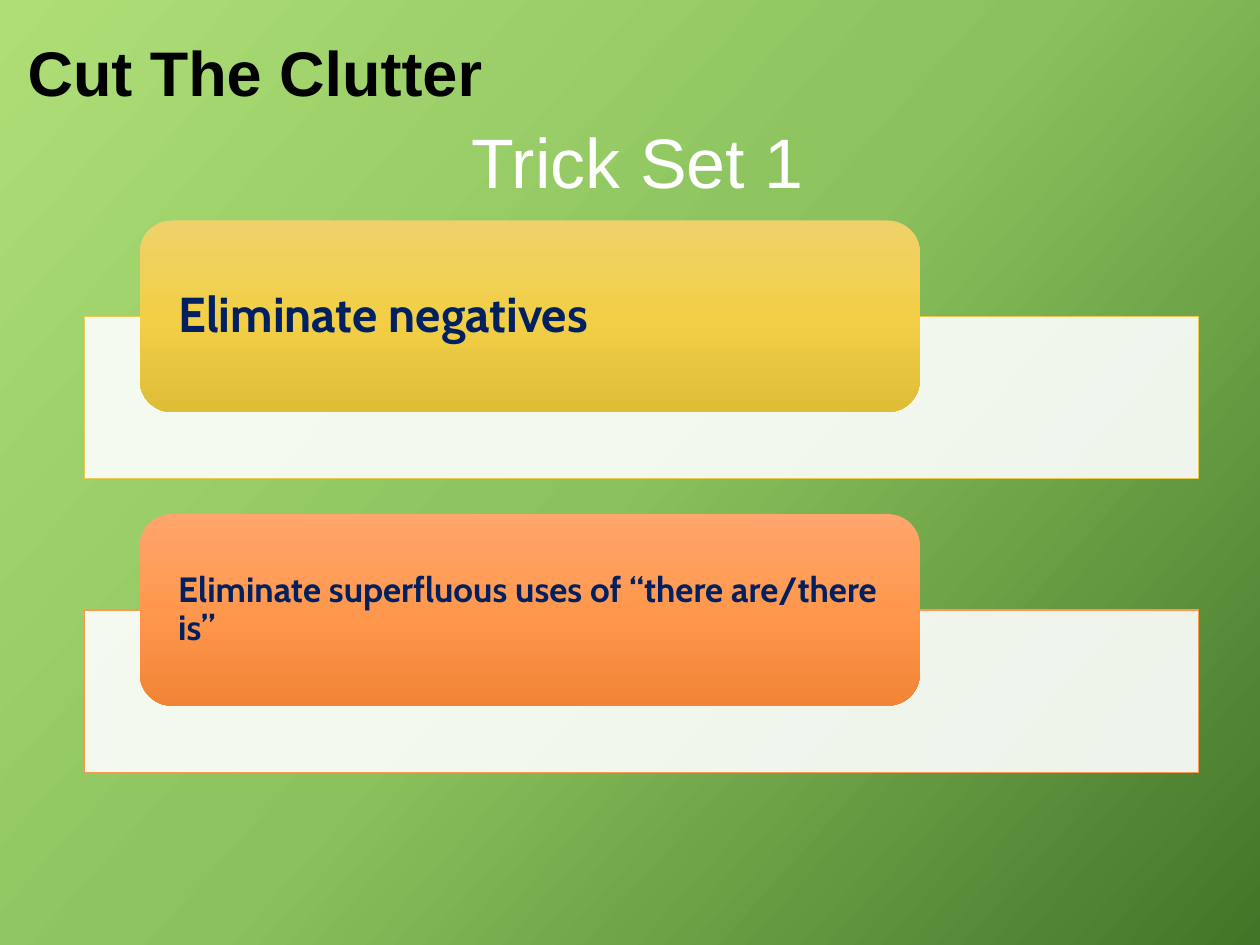
from copy import deepcopy

from lxml.etree import SubElement
from pptx import Presentation
from pptx.dml.color import RGBColor
from pptx.enum.shapes import MSO_SHAPE as Shape
from pptx.enum.text import MSO_ANCHOR as Anchor, PP_ALIGN as Align
from pptx.oxml.ns import qn
from pptx.util import Inches, Pt

NAVY = "002060"
CARDS = [
    ("Eliminate negatives", 28, "EACA4F", ("EED16B", "F2CF47", "E0BD37")),
    ("Eliminate superfluous uses of “there are/there is”", 20, "FD9850",
     ("FFA56D", "FF984E", "F28435")),
]


def color(value):
    return RGBColor.from_string(value)


def fill_gradient(owner, fill, colors, angle):
    fill.gradient()
    fill.gradient_angle = 360 - angle
    stop_list = owner.element.xpath(".//a:gsLst")[0]
    stop_list.insert(1, deepcopy(stop_list[0]))
    for index, (stop, value) in enumerate(zip(fill.gradient_stops, colors)):
        stop.color.rgb = color(value)
        stop.position = index / 2


def add_text(slide, box, text, size, font, value, bold=False,
             align=Align.LEFT, spacing=0.9, inset=None):
    frame = slide.shapes.add_textbox(*map(Inches, box)).text_frame
    frame.word_wrap = True
    frame.vertical_anchor = Anchor.MIDDLE
    if inset is not None:
        frame.margin_left = frame.margin_right = Inches(inset)
        frame.margin_top = frame.margin_bottom = 0
    paragraph = frame.paragraphs[0]
    paragraph.text = text
    paragraph.alignment = align
    paragraph.line_spacing = spacing
    paragraph.font.size = Pt(size)
    paragraph.font.name = font
    paragraph.font.bold = bold
    paragraph.font.color.rgb = color(value)


def add_panel(slide, box, line):
    panel = slide.shapes.add_shape(Shape.RECTANGLE, *map(Inches, box))
    panel.shadow.inherit = False
    panel.fill.solid()
    panel.fill.fore_color.rgb = color("FFFFFF")
    white = panel.element.spPr.find(qn("a:solidFill"))[0]
    SubElement(white, qn("a:alpha"), val="90000")
    panel.line.color.rgb = color(line)
    panel.line.width = Pt(0.75)


def add_card(slide, box, text, size, line, colors):
    left, top, width, height = box
    add_panel(slide, (left, top + 0.76, width, height - 0.76), line)
    label_left, label_width, label_height, pad = left + 0.44, 6.19, 1.52, 0.075
    label = slide.shapes.add_shape(
        Shape.ROUNDED_RECTANGLE,
        *map(Inches, (label_left, top, label_width, label_height)))
    label.shadow.inherit = False
    fill_gradient(label, label.fill, colors, 90)
    label.line.fill.background()
    text_box = (label_left + pad, top + pad,
                label_width - 2 * pad, label_height - 2 * pad)
    add_text(slide, text_box, text, size, "Cabin", NAVY, bold=True, inset=0.23)


def add_heading(slide, box):
    left, top, width, height = box
    add_text(slide, (left, top, width, 1.17), "Cut The Clutter", 36, "Arial",
             "000000", bold=True)
    add_text(slide, (left + 0.52, top + height - 0.69, 8.84, 0.69),
             "Trick Set 1", 40, "Arial", "FFFFFF", align=Align.CENTER,
             spacing=0.8)


def main():
    presentation = Presentation()
    presentation.slide_width = Inches(10)
    presentation.slide_height = Inches(7.5)
    slide = presentation.slides.add_slide(presentation.slide_layouts[6])
    fill_gradient(slide, slide.background.fill,
                  ("AFDE77", "8BC25D", "437528"), 42)
    add_heading(slide, (0.12, 0.02, 9.88, 1.66))
    for index, card in enumerate(CARDS):
        add_card(slide, (0.67, 1.75 + index * 2.33, 8.84, 2.05), *card)
    presentation.save("out.pptx")


if __name__ == "__main__":
    main()
